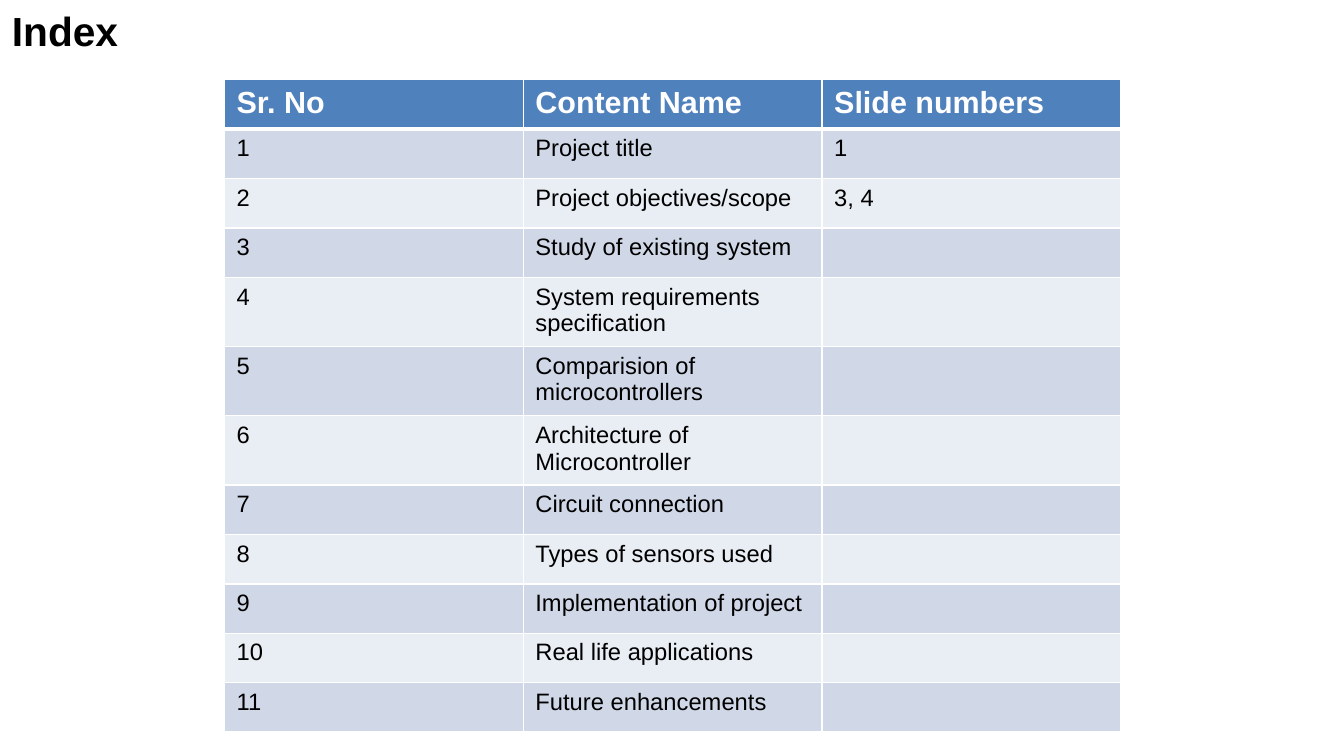
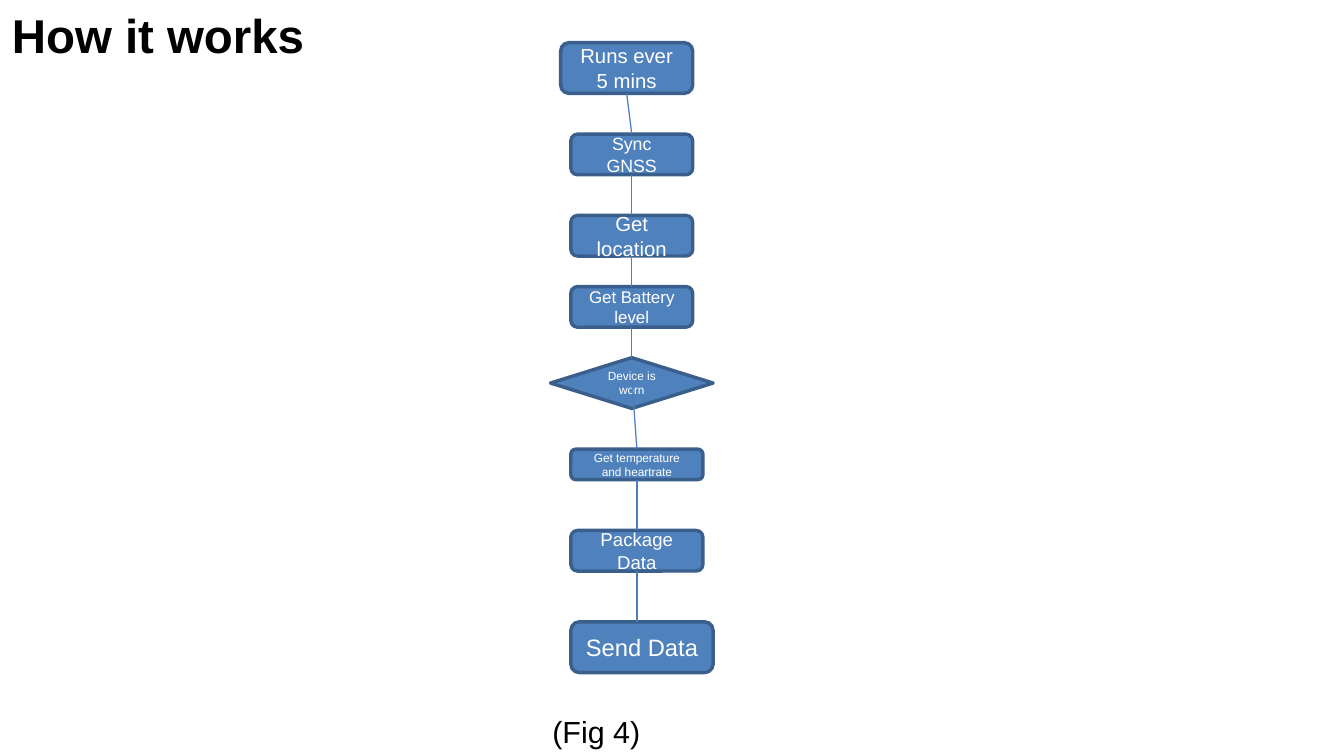
from dataclasses import dataclass
from lxml.etree import SubElement as Sub
from pptx import Presentation
from pptx.dml.color import RGBColor as RGB
from pptx.enum.shapes import MSO_CONNECTOR as Conn, MSO_SHAPE as Kind
from pptx.enum.text import MSO_ANCHOR as Anchor, PP_ALIGN as Align
from pptx.oxml import parse_xml
from pptx.oxml.ns import nsdecls, qn
from pptx.util import Pt


@dataclass(frozen=True)
class Theme:
    font: str = "Arial"
    ink: str = "000000"
    paper: str = "FFFFFF"
    blue: str = "4F81BD"
    edge: str = "3A5F8C"
    wire: str = "4B7EBC"
    bands: tuple = ("D0D8E8", "E9EDF4")
    head: int = 18
    body: int = 14
    note: int = 18


class Deck:
    def __init__(self, theme, width, height):
        self.theme = theme
        self.file = Presentation()
        self.file.slide_width, self.file.slide_height = Pt(width), Pt(height)
        self.slide = None

    def page(self, title, size):
        self.slide = self.file.slides.add_slide(self.file.slide_layouts[6])
        self.label(title, (0, 0, 792, 38), size, bold=True)

    def words(self, frame, text, size, color, bold=False, align=Align.LEFT):
        frame.word_wrap = True
        para = frame.paragraphs[0]
        para.alignment = align
        run = para.add_run()
        run.text = text
        style = {"name": self.theme.font, "size": Pt(size), "bold": bold}
        for key, value in style.items():
            setattr(run.font, key, value)
        run.font.color.rgb = RGB.from_string(color)

    def paint(self, fill, color):
        fill.solid()
        fill.fore_color.rgb = RGB.from_string(color)

    def label(self, text, area, size, bold=False):
        box = self.slide.shapes.add_textbox(*map(Pt, area))
        self.words(box.text_frame, text, size, self.theme.ink, bold)

    def node(self, kind, text, area, size):
        shape = self.slide.shapes.add_shape(kind, *map(Pt, area))
        shape.shadow.inherit = False
        self.paint(shape.fill, self.theme.blue)
        self.paint(shape.line.fill, self.theme.edge)
        shape.line.width = Pt(2)
        shape.text_frame.vertical_anchor = Anchor.MIDDLE
        self.words(shape.text_frame, text, size, self.theme.paper,
                   align=Align.CENTER)

    def wire(self, start, end):
        line = self.slide.shapes.add_connector(
            Conn.STRAIGHT, *map(Pt, start + end))
        self.paint(line.line.fill, self.theme.wire)
        line.line.width = Pt(0.75)
        Sub(line._element.spPr, qn("a:effectLst"))

    def rule(self, cell, top, bottom):
        sides = {"lnL": 1, "lnR": 1, "lnT": top, "lnB": bottom}
        props = cell._tc.get_or_add_tcPr()
        for spot, (side, width) in enumerate(sides.items()):
            props.insert(spot, parse_xml(
                f'<a:{side} {nsdecls("a")} w="{Pt(width)}"><a:solidFill>'
                f'<a:srgbClr val="{self.theme.paper}"/>'
                f'</a:solidFill></a:{side}>'))

    def table(self, rows, left, top, wide, high):
        look, count = self.theme, len(rows[0])
        grid = self.slide.shapes.add_table(
            len(rows), count, Pt(left), Pt(top),
            Pt(wide * count), Pt(high * len(rows))).table
        for col in grid.columns:
            col.width = Pt(wide)
        for i, row in enumerate(rows):
            grid.rows[i].height = Pt(high)
            first = i == 0
            fill = look.blue if first else look.bands[(i - 1) % 2]
            size = look.head if first else look.body
            color = look.paper if first else look.ink
            for j, text in enumerate(row):
                cell = grid.cell(i, j)
                self.paint(cell.fill, fill)
                self.rule(cell, 3 if i == 1 else 1, 3 if first else 1)
                if text:
                    self.words(cell.text_frame, text, size, color, first)


def index(deck):
    deck.page("Index", 24)
    names = ["Project title", "Project objectives/scope",
             "Study of existing system", "System requirements specification",
             "Comparision of microcontrollers",
             "Architecture of Microcontroller", "Circuit connection",
             "Types of sensors used", "Implementation of project",
             "Real life applications", "Future enhancements"]
    pages = {1: "1", 2: "3, 4"}
    rows = [("Sr. No", "Content Name", "Slide numbers")]
    rows += [(str(n), name, pages.get(n, ""))
             for n, name in enumerate(names, 1)]
    deck.table(rows, 132.5, 47, 176.4, 29.2)


def flow(deck):
    deck.page("How it works", 28)
    # Text, type size, left, width, height, gap below
    steps = [("Runs ever 5 mins", 12, 331, 78, 30, 24),
             ("Sync GNSS", 10.5, 337, 72, 24, 24),
             ("Get location", 12, 337, 72, 24, 18),
             ("Get Battery level", 10, 337, 72, 24, 18),
             ("Device is worn", 7, 325, 96, 30, 24),
             ("Get temperature and heartrate", 7, 337, 78, 18, 30),
             ("Package Data", 11, 337, 78, 24, 30),
             ("Send Data", 14, 337, 84, 30, 0)]
    test, last = 4, len(steps) - 1
    top, ends = 25.2, []
    for i, (text, size, left, wide, high, gap) in enumerate(steps):
        kind = Kind.DIAMOND if i == test else Kind.ROUNDED_RECTANGLE
        deck.node(kind, text, (left, top, wide, high), size)
        # The last wire drops straight down; one starts inside the diamond
        x = ends[-1][0] if i == last else left + wide / 2
        ends.append((x, top, top + (12 if i == test else high)))
        top += high + gap
    # Wires lie over the boxes
    for (x, _, low), (to, high, _) in zip(ends, ends[1:]):
        deck.wire((x, low), (to, high))
    deck.label("(Fig 4)", (319, 417.6, 102, 29), deck.theme.note)


def main():
    deck = Deck(Theme(), 793.44, 446.4)
    index(deck)
    flow(deck)
    deck.file.save("out.pptx")


if __name__ == "__main__":
    main()
